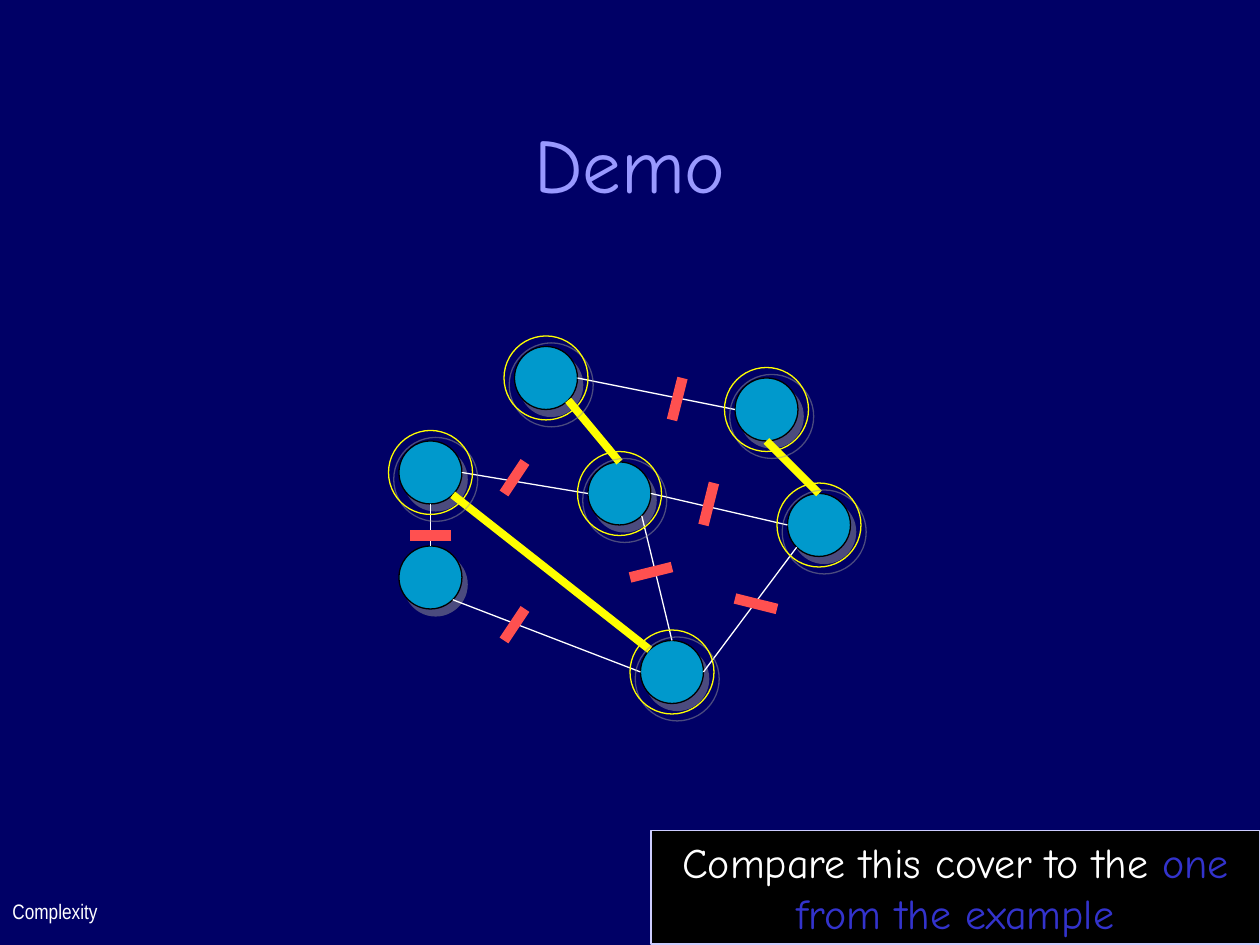
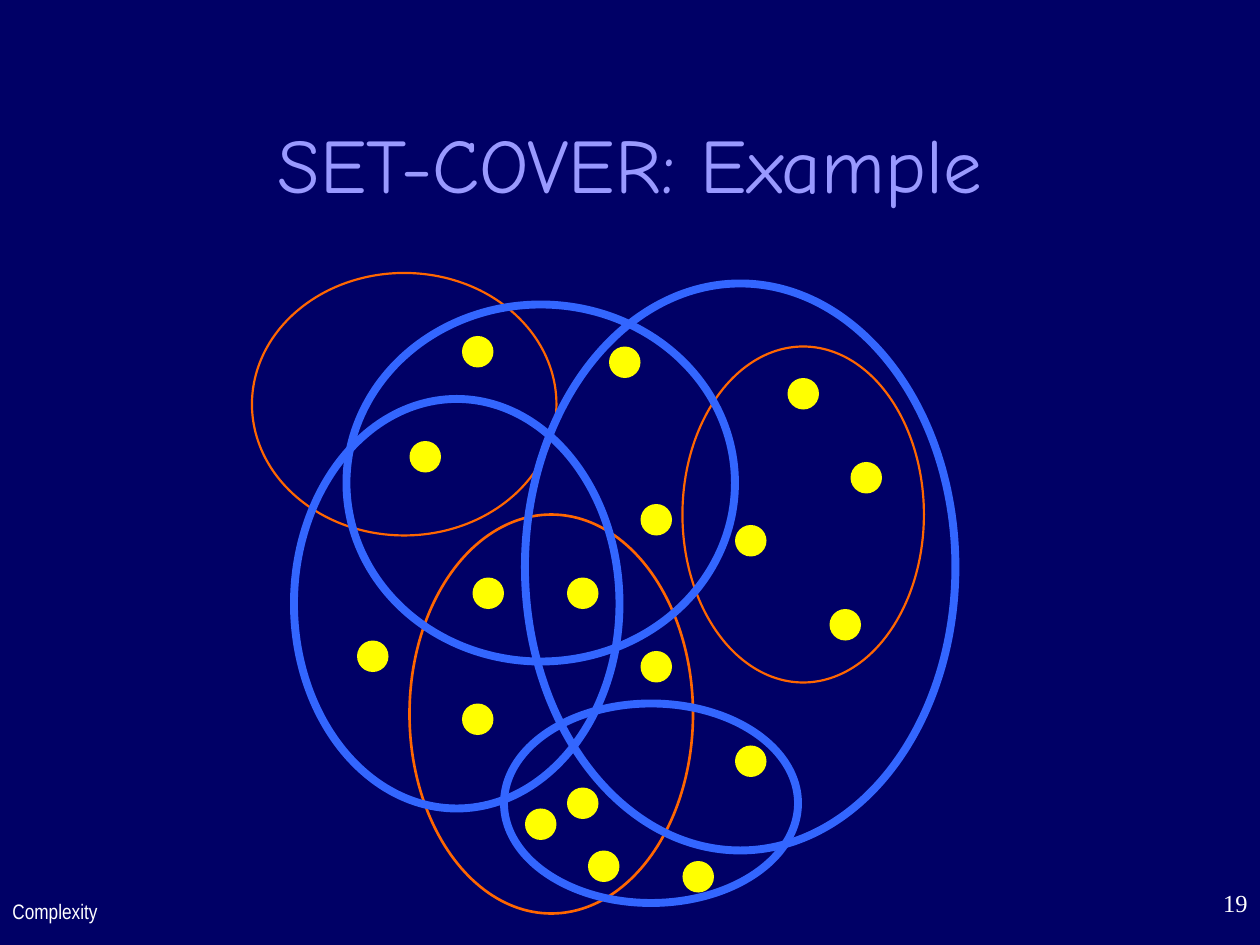
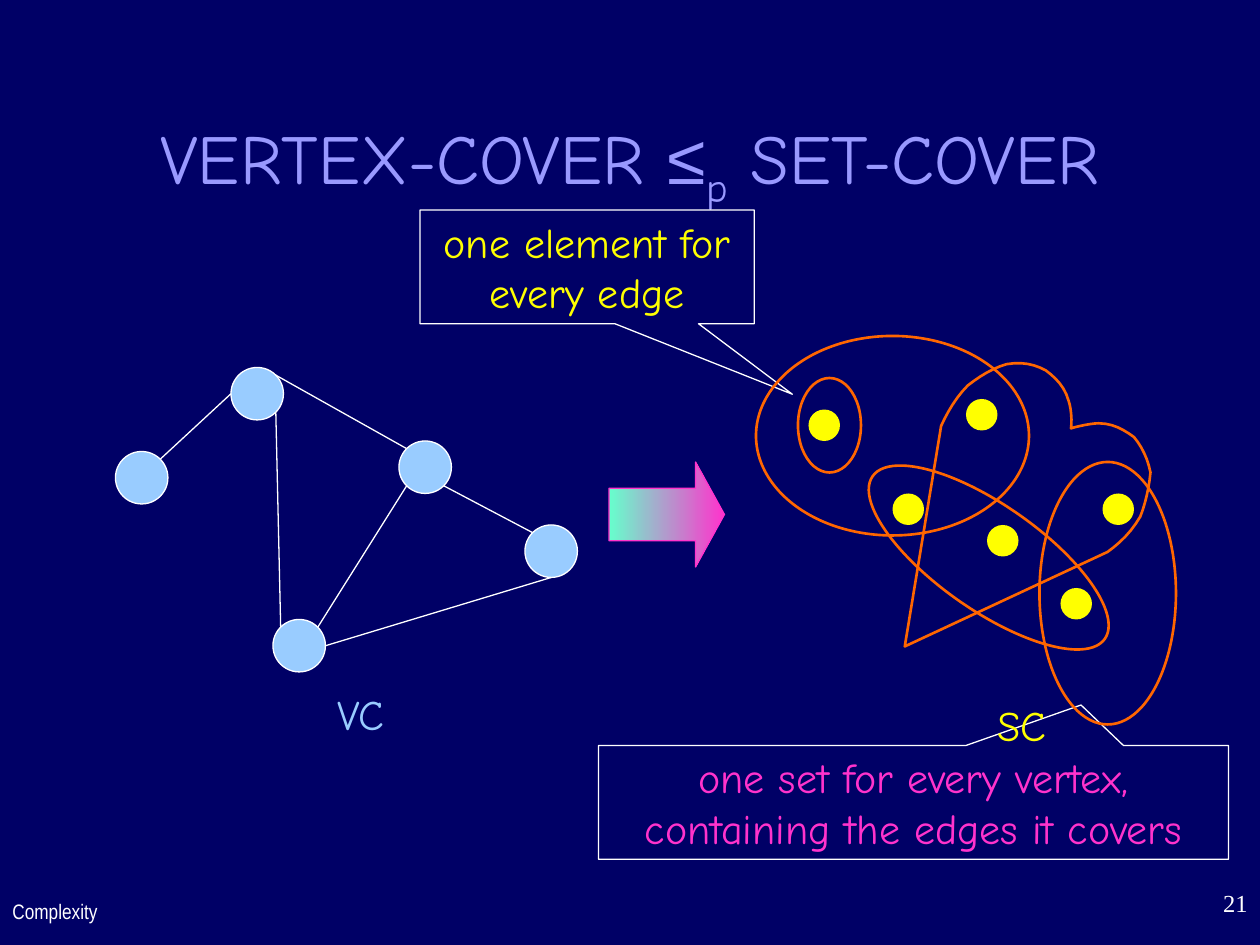
"""Build three slides on vertex cover, set cover and the reduction between them."""
import math

from lxml import etree
from pptx import Presentation
from pptx.dml.color import RGBColor
from pptx.enum import shapes, text
from pptx.oxml import ns
from pptx.util import Pt

NAVY, WHITE, BLACK, YELLOW = "000066", "FFFFFF", "000000", "FFFF00"
LAVENDER, ORANGE, BLUE, PINK = "9999FF", "FF6600", "3366FF", "FF33CC"
CORAL, TEAL, SKY, MINT = "FF5050", "0099CC", "99CCFF", "66FFCC"
BODY_FONT = "Comic Neue"
LEFT, CENTER, RIGHT = text.PP_ALIGN.LEFT, text.PP_ALIGN.CENTER, text.PP_ALIGN.RIGHT
MIDDLE, TOP = text.MSO_ANCHOR.MIDDLE, text.MSO_ANCHOR.TOP
KIND = shapes.MSO_SHAPE
rgb = RGBColor.from_string


def style(shape, fill, line, width=0.75, shadow=False):
    """Set fill, outline and shadow of a shape or connector."""
    if fill:
        shape.fill.solid()
        shape.fill.fore_color.rgb = rgb(fill)
    elif hasattr(shape, "fill"):
        shape.fill.background()
    if line:
        shape.line.color.rgb = rgb(line)
        shape.line.width = Pt(width)
    else:
        shape.line.fill.background()
    effects = etree.SubElement(shape._element.spPr, ns.qn("a:effectLst"))
    if shadow:
        outer = etree.SubElement(effects, ns.qn("a:outerShdw"), dist=str(Pt(5)), dir="3180000",
                                 algn="ctr", rotWithShape="0")
        colour = etree.SubElement(outer, ns.qn("a:srgbClr"), val="969696")
        etree.SubElement(colour, ns.qn("a:alpha"), val="50000")


def draw(slide, kind, box, fill=None, line=None, width=0.75, shadow=False):
    """Add a styled preset shape in a (left, top, width, height) box."""
    shape = slide.shapes.add_shape(kind, *map(Pt, box))
    style(shape, fill, line, width, shadow)
    return shape


presentation = Presentation()
presentation.slide_width, presentation.slide_height = Pt(720), Pt(540)
titles = [
    (44, [("Demo", BODY_FONT, 0)], None),
    (44, [("SET-COVER: Example", BODY_FONT, 0)], "19"),
    (40, [("VERTEX-COVER ", BODY_FONT, 0), ("≤", "Arial", 0), ("p", BODY_FONT, -25000),
          (" SET-COVER", BODY_FONT, 0)], "21"),
]
for title_size, title_runs, number in titles:
    slide = presentation.slides.add_slide(presentation.slide_layouts[6])
    slide.background.fill.solid()
    slide.background.fill.fore_color.rgb = rgb(NAVY)
    frames = [
        ((0, 510, 90, 30), [("Complexity", "Arial Narrow", 0)], 12, WHITE, LEFT, TOP, 7.5),
        ((54, 48, 612, 90), title_runs, title_size, LAVENDER, CENTER, MIDDLE, 0),
    ]
    if number:
        frames.append(((570, 504, 150, 36), [(number, "Times New Roman", 0)], 14, WHITE, RIGHT, TOP, 0))
    for box, runs, size, colour, align, anchor, before in frames:
        frame = slide.shapes.add_textbox(*map(Pt, box)).text_frame
        frame.word_wrap = True
        frame.vertical_anchor = anchor
        paragraph = frame.paragraphs[0]
        paragraph.alignment = align
        paragraph.space_before = Pt(before)
        paragraph.font.size = Pt(size)
        paragraph.font.color.rgb = rgb(colour)
        for words, font, baseline in runs:
            run = paragraph.add_run()
            run.text = words
            run.font.name = font
            if baseline:
                run.font._element.set("baseline", str(baseline))
demo, example, reduction = presentation.slides

demo_nodes = {"A": (246, 330), "B": (354, 282), "C": (384, 384), "D": (468, 300),
              "E": (438, 234), "F": (312, 216), "G": (246, 270)}
vertex_nodes = {"H": (243, 267), "I": (171, 369), "J": (81, 273), "K": (315, 315), "L": (147, 225)}
sites = {}
for slide, nodes, radius, fill, line, shadow in (
        (demo, demo_nodes, 18, TEAL, BLACK, True),
        (reduction, vertex_nodes, 15, SKY, WHITE, False)):
    for name, (x, y) in nodes.items():
        draw(slide, KIND.OVAL, (x - radius, y - radius, 2 * radius, 2 * radius), fill, line, shadow=shadow)
        for site in range(8):
            angle = math.radians(45 * site)
            sites[f"{name}{site}"] = (x - radius * math.sin(angle), y - radius * math.cos(angle))

demo_edges = "A5-C2 A0-G4 G6-B2 B0-F5 B5-C0 F6-E2 E4-D0 D2-B6 D3-C6 G5-C1"
cover_edges = "G5-C1 E4-D0 B0-F5"
vertex_edges = "L5-I1 I6-K4 L2-J7 H5-K1 I7-H3 H1-L7"
strikes = [((300, 348), (288, 366)), ((384, 324), (360, 330)), ((444, 348), (420, 342)),
           ((258, 306), (234, 306)), ((300, 264), (288, 282)), ((402, 300), (408, 276)),
           ((384, 240), (390, 216))]
segments = [(demo, start, end, CORAL, 6) for start, end in strikes]
for slide, edges, colour, width in ((demo, demo_edges, WHITE, 0.75), (demo, cover_edges, YELLOW, 4.5),
                                    (reduction, vertex_edges, WHITE, 0.75)):
    for edge in edges.split():
        start, end = edge.split("-")
        segments.append((slide, sites[start], sites[end], colour, width))
segments.sort(key=lambda segment: segment[-1])
for slide, start, end, colour, width in segments:
    connector = slide.shapes.add_connector(shapes.MSO_CONNECTOR.STRAIGHT, *map(Pt, start + end))
    style(connector, None, colour, width)
for name in "GCDEFB":
    x, y = demo_nodes[name]
    draw(demo, KIND.OVAL, (x - 24, y - 24, 48, 48), None, YELLOW, shadow=True)
compare = draw(demo, KIND.RECTANGLE, (372, 474.5, 348, 65), BLACK, "CCCCFF")

example_elements = [(324, 450), (270, 330), (264, 192), (474, 348), (450, 216), (486, 264),
                    (348, 198), (204, 366), (420, 426), (366, 288), (234, 252), (366, 372),
                    (324, 330), (420, 300), (390, 492), (264, 402), (300, 462), (336, 486)]
reduced_elements = [(552, 228), (630, 282), (510, 282), (606, 336), (564, 300), (462, 234)]
for slide, elements in ((example, example_elements), (reduction, reduced_elements)):
    for x, y in elements:
        draw(slide, KIND.OVAL, (x, y, 18, 18), YELLOW)
example_sets = [
    ((390, 198, 138, 192), ORANGE, 1.25), ((234, 294, 162, 228), ORANGE, 1.5),
    ((144, 156, 174, 150), ORANGE, 1.25), ((168, 228, 186, 234), BLUE, 4.5),
    ((300, 162, 246, 324), BLUE, 4.5), ((198, 174, 222, 204), BLUE, 4.5),
    ((288, 402, 168, 114), BLUE, 4.5),
]
for box, colour, width in example_sets:
    draw(example, KIND.OVAL, box, None, colour, width)

set_callout = draw(reduction, KIND.RECTANGULAR_CALLOUT, (342, 426, 360, 65), None, WHITE)
set_callout.adjustments[0], set_callout.adjustments[1] = 0.266, -0.856
element_callout = draw(reduction, KIND.RECTANGULAR_CALLOUT, (240, 120, 191, 65), None, WHITE)
element_callout.adjustments[0], element_callout.adjustments[1] = 0.614, 1.12
arrow = draw(reduction, KIND.RIGHT_ARROW, (348, 264, 66, 60), None, PINK)
arrow.adjustments[0], arrow.adjustments[1] = 0.5, 0.275
arrow.fill.gradient()
arrow.fill.gradient_angle = 180
for stop, colour in zip(arrow.fill.gradient_stops, (PINK, MINT)):
    stop.color.rgb = rgb(colour)
for box, turn in (((456, 216, 36, 54), 0), ((535, 237.6, 60, 162), 305),
                  ((594, 264, 78, 150), 0), ((432, 192, 156, 114), 0)):
    draw(reduction, KIND.OVAL, box, None, ORANGE, 1.5).rotation = turn

heart_start = (612, 244.8)
heart_curves = [
    [(612.7, 240.5), (612, 232.6), (610.6, 229)], [(608.4, 221), (603.4, 216), (597.6, 211.7)],
    [(591.1, 208.1), (583.9, 206.6), (575.3, 208.1)], [(567.4, 210.2), (559.4, 215.3), (553, 220.3)],
    [(546.5, 226.8), (541.4, 235.4), (537.8, 243.4)], [(517, 369.4)], [(632.9, 315.4)],
    [(640.1, 310.3), (646.6, 303.8), (651.6, 295.2)], [(654.5, 288), (656.6, 278.6), (657.4, 270)],
    [(655.9, 262.1), (652.3, 254.9), (648, 249.8)], [(642.2, 245.5), (635.8, 241.9), (627.8, 241.9)],
    [(624.2, 241.9), (616.3, 243.4), heart_start],
]
outline = [heart_start]
for curve in heart_curves:
    controls = [outline[-1], *curve]
    degree = len(curve)
    steps = 6 if degree == 3 else 1
    for step in range(1, steps + 1):
        t = step / steps
        weights = [math.comb(degree, i) * t ** i * (1 - t) ** (degree - i) for i in range(degree + 1)]
        outline.append(tuple(sum(w * c for w, c in zip(weights, axis)) for axis in zip(*controls)))
builder = reduction.shapes.build_freeform(*map(Pt, heart_start))
builder.add_line_segments([(Pt(x), Pt(y)) for x, y in outline[1:]], close=True)
style(builder.convert_to_shape(), None, ORANGE, 1.5)

vertex_label = reduction.shapes.add_textbox(Pt(182), Pt(390), Pt(48), Pt(36))
set_label = reduction.shapes.add_textbox(Pt(560), Pt(396), Pt(48), Pt(36))
captions = [
    (compare, [("Compare this cover to the", WHITE), (" one from the example", "3333CC")], True),
    (set_callout, [("one set for every vertex, containing the edges it covers", PINK)], True),
    (element_callout, [("one element for every edge", YELLOW)], True),
    (vertex_label, [("VC", SKY)], False),
    (set_label, [("SC", YELLOW)], False),
]
for shape, runs, wrap in captions:
    frame = shape.text_frame
    frame.word_wrap = wrap
    frame.vertical_anchor = MIDDLE
    paragraph = frame.paragraphs[0]
    paragraph.alignment = CENTER
    paragraph.space_before = Pt(15)
    paragraph.font.size = Pt(24)
    paragraph.font.name = BODY_FONT
    for words, colour in runs:
        run = paragraph.add_run()
        run.text = words
        run.font.color.rgb = rgb(colour)

presentation.save("out.pptx")
